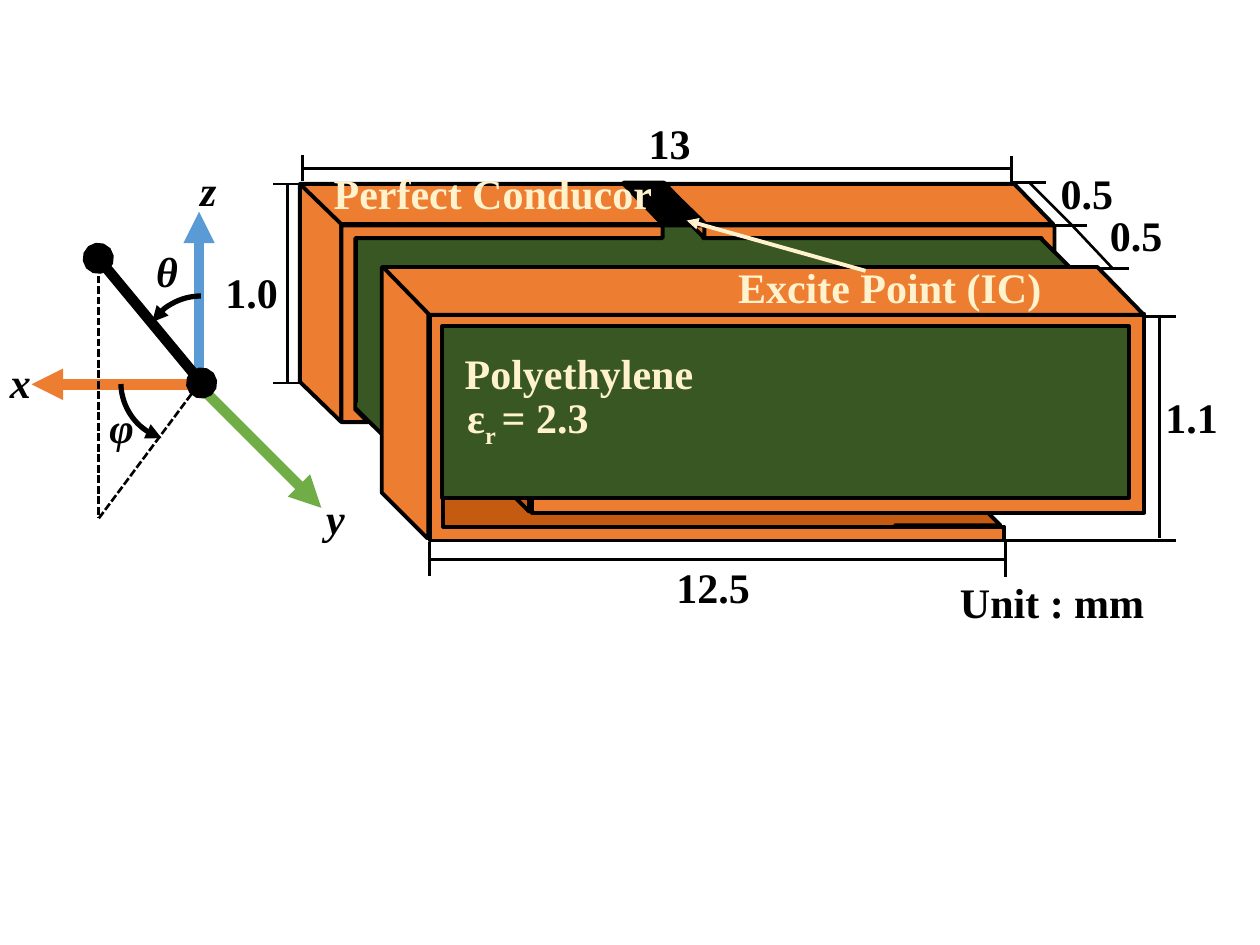
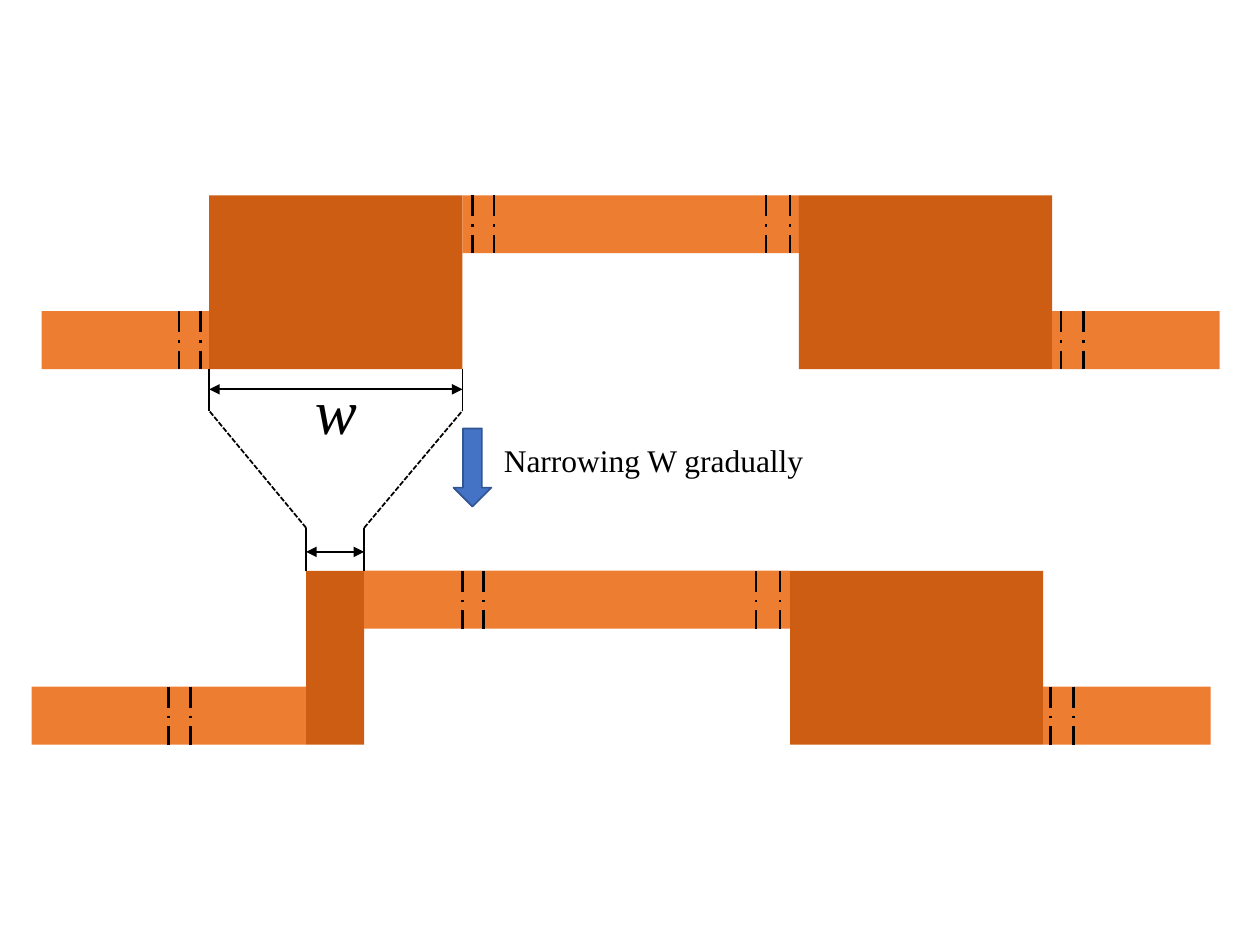
from pptx import Presentation
from pptx import util as u
from pptx.dml.color import RGBColor
from pptx.enum import dml, shapes, text
from pptx.oxml.ns import qn
from lxml import etree

# Shared style
FONT = "Times New Roman"
BLACK, CREAM = "000000", "FFF2CC"
COPPER, SHADE, GREEN = "ED7D31", "C55A11", "385723"
PAD = "CC5D12"
DASH = dml.MSO_LINE.SQUARE_DOT
FOLD_DASH = dml.MSO_LINE.LONG_DASH_DOT


def inch(x):
    """Length of a drawing coordinate in inches."""
    return u.Cm(x * 2.54)


def rgb(hex_color):
    return RGBColor.from_string(hex_color)


def style_line(ln, color, width, dash=None):
    ln.color.rgb = rgb(color)
    ln.width = u.Pt(width)
    if dash:
        ln.dash_style = dash


def add_ends(sp, head=None, tail=None):
    ln = sp.line._get_or_add_ln()
    for tag, kind in (("a:headEnd", head), ("a:tailEnd", tail)):
        if kind:
            etree.SubElement(ln, qn(tag), type=kind)


def add_line(s, start, end, color=BLACK, width=1.5, dash=None, head=None, tail=None):
    c = s.shapes.add_connector(shapes.MSO_CONNECTOR.STRAIGHT,
                               *(inch(v) for v in (*start, *end)))
    style_line(c.line, color, width, dash)
    add_ends(c, head, tail)
    etree.SubElement(c._element.spPr, qn("a:effectLst"))


def paint(sp, fill, line=None, width=2.25):
    sp.shadow.inherit = False
    if fill:
        sp.fill.solid()
        sp.fill.fore_color.rgb = rgb(fill)
    else:
        sp.fill.background()
    if line:
        style_line(sp.line, line, width)
    else:
        sp.line.fill.background()


def add_preset(s, kind, at, fill, line=None, width=2.25):
    sp = s.shapes.add_shape(kind, *(inch(v) for v in at))
    paint(sp, fill, line, width)
    return sp


def add_rect(s, at, fill, line=None):
    add_preset(s, shapes.MSO_SHAPE.RECTANGLE, at, fill, line)


def add_outline(s, fill, *contours):
    """Filled outline of one or more closed contours."""
    fb = None
    for first, *rest in contours:
        x, y = inch(first[0]), inch(first[1])
        if fb is None:
            fb = s.shapes.build_freeform(x, y)
        else:
            fb.move_to(x, y)
        fb.add_line_segments([(inch(a), inch(b)) for a, b in rest], close=True)
    paint(fb.convert_to_shape(), fill, BLACK)


def add_angle_arc(s, left, top, start, end):
    """Angle mark with its arrow at the start; angles in degrees."""
    sp = add_preset(s, shapes.MSO_SHAPE.ARC, (left, top, 0.93, 0.93), None, BLACK, 3)
    for i, angle in enumerate((start, end)):
        sp.adjustments[i] = angle * 0.6
    add_ends(sp, head="triangle")


def add_label(s, runs, left, top, width, color=BLACK, size=24, height=0.5,
              bold=True, italic=False):
    """Text label; runs is a string or a list of (text, is_subscript)."""
    tb = s.shapes.add_textbox(*(inch(v) for v in (left, top, width, height)))
    tf = tb.text_frame
    tf.word_wrap = False
    tf.auto_size = text.MSO_AUTO_SIZE.SHAPE_TO_FIT_TEXT
    p = tf.paragraphs[0]
    f = p.font
    f.name, f.size, f.bold, f.italic = FONT, u.Pt(size), bold, italic
    f.color.rgb = rgb(color)
    for words, subscript in [(runs, False)] if isinstance(runs, str) else runs:
        r = p.add_run()
        r.text = words
        if subscript:
            r._r.get_or_add_rPr().set("baseline", "-25000")


# Slide 1: antenna model
def draw_axes(s):
    for name, left, top, width in (("x", -0.02, 2.78, 0.37), ("y", 2.49, 3.86, 0.35),
                                   ("z", 1.49, 1.26, 0.33)):
        add_label(s, name, left, top, width, italic=True)
    for start, end, color in (((1.58, 3.05), (0.25, 3.05), COPPER),
                              ((1.61, 3.09), (2.55, 4.03), "70AD47"),
                              ((1.58, 3.01), (1.58, 1.68), "5B9BD5")):
        add_line(s, start, end, color, 6, tail="triangle")
    # Direction vector, its projection and angles
    add_line(s, (1.6, 3.04), (0.78, 2.05), width=6, head="oval", tail="oval")
    add_line(s, (1.57, 3.06), (0.78, 4.12), dash=DASH)
    add_line(s, (0.78, 2.02), (0.78, 4.11), dash=DASH)
    add_angle_arc(s, 1.13, 2.35, 213.7, 270)
    add_angle_arc(s, 0.96, 2.57, 107.75, 178.33)
    add_label(s, "θ", 1.14, 1.9, 0.38, italic=True)
    add_label(s, "φ", 0.77, 3.14, 0.4, italic=True)


def draw_antenna(s):
    # Dielectric core and shaded inner faces
    add_outline(s, GREEN, [
        (4.97, 1.59), (5.65, 1.59), (5.65, 1.8), (8, 1.8), (8, 1.63), (8.96, 2.59),
        (8.08, 2.59), (8.08, 3.05), (3.53, 3.05), (3.53, 3.94), (2.56, 2.98),
        (2.75, 2.98), (2.75, 1.8), (4.97, 1.8)])
    add_outline(s, SHADE, [
        (7.05, 3.28), (7.05, 3.87), (3.45, 3.87), (3.45, 4.19), (7.1, 4.19),
        (7.1, 4.17), (7.94, 4.17)])
    add_outline(s, SHADE, [(3.79, 3.65), (4.2, 3.65), (4.2, 4.06)])
    # Back side and front frame
    add_rect(s, (2.71, 1.78, 0.12, 1.4), COPPER, BLACK)
    add_outline(s, COPPER, [(2.71, 1.47), (2.38, 1.47), (2.38, 3.03), (2.71, 3.35)])
    add_outline(s, COPPER, [
        (9.08, 2.49), (3.41, 2.49), (3.41, 4.29), (7.97, 4.29), (7.97, 4.18),
        (3.52, 4.18), (3.52, 2.7), (4.22, 2.7), (4.22, 4.07), (9.08, 4.07)])
    add_rect(s, (3.51, 2.59, 5.45, 1.36), GREEN, BLACK)
    add_outline(s, COPPER, [(3.4, 2.12), (3.03, 2.12), (3.03, 3.91), (3.39, 4.27),
                            (3.4, 4.27)])
    # Back frame, split at the feed gap
    add_outline(
        s, COPPER,
        [(5.58, 1.79), (8.37, 1.79), (8.37, 2), (8.27, 1.9), (8.27, 1.89), (5.58, 1.89)],
        [(2.71, 1.79), (5.26, 1.79), (5.26, 1.89), (2.82, 1.89), (2.82, 3.25),
         (2.92, 3.35), (2.71, 3.35)])
    # Top faces
    add_outline(
        s, COPPER,
        [(3.04, 2.12), (8.71, 2.12), (9.08, 2.5), (3.41, 2.5)],
        [(5.27, 1.46), (8.05, 1.46), (8.36, 1.78), (5.58, 1.78)],
        [(2.38, 1.46), (4.95, 1.46), (5.26, 1.78), (2.71, 1.78)])
    # Feed gap
    add_outline(s, COPPER, [(5.27, 1.46), (5.59, 1.77), (5.59, 1.89), (5.27, 1.57)])
    add_outline(s, BLACK, [(5.27, 1.45), (4.95, 1.45), (5.27, 1.79), (5.59, 1.79)])


def draw_dimensions(s):
    for start, end in (
            ((8.03, 1.24), (8.03, 1.45)), ((2.4, 1.23), (2.4, 1.44)),    # 13
            ((2.4, 1.34), (8.03, 1.34)),
            ((2.38, 1.46), (2.17, 1.46)), ((2.38, 3.04), (2.17, 3.04)),  # 1.0
            ((2.28, 1.47), (2.28, 3.04)),
            ((9.33, 2.51), (9.08, 2.51)), ((9.33, 4.29), (7.97, 4.29)),  # 1.1
            ((9.2, 2.51), (9.2, 4.27)),
            ((3.41, 4.3), (3.41, 4.57)), ((7.98, 4.3), (7.98, 4.58)),    # 12.5
            ((7.98, 4.44), (3.41, 4.44)),
            ((8.3, 1.45), (8.03, 1.45)), ((8.63, 1.79), (8.36, 1.79)),   # 0.5
            ((8.96, 2.13), (8.71, 2.13)),
            ((8.17, 1.45), (8.51, 1.79)), ((8.51, 1.79), (8.83, 2.13))):
        add_line(s, start, end)
    for words, left, top, width in (
            ("1.1", 9.15, 3.06, 0.63), ("Unit : mm", 7.52, 4.53, 1.68),
            ("13", 5.05, 0.88, 0.54), ("1.0", 1.69, 2.07, 0.65),
            ("12.5", 5.27, 4.41, 0.79), ("0.5", 8.32, 1.28, 0.63),
            ("0.5", 8.71, 1.61, 0.63)):
        add_label(s, words, left, top, width)


def draw_materials(s):
    add_line(s, (6.87, 2.15), (5.45, 1.75), CREAM, 2.25, tail="triangle")
    for words, left, top, width in (
            ("Excite Point (IC)", 5.76, 2.03, 2.63),
            ("Perfect Conducor", 2.55, 1.28, 2.75),
            ([("ε", False), ("r ", True), ("= 2.3", False)], 3.61, 3.06, 1.19),
            ("Polyethylene", 3.59, 2.71, 2.03)):
        add_label(s, words, left, top, width, CREAM)


# Slide 2: narrowing the pad
STRIP = 0.46
FOLDS = (1.42, 1.59, 3.75, 3.92, 6.08, 6.27, 8.42, 8.6)


def draw_meander(s, top, edges, fold_shift=0):
    """Arm, pad, bridge, pad and arm between consecutive edges."""
    low = top + 2 * STRIP
    parts = ((low, STRIP, COPPER), (top, 3 * STRIP, PAD), (top, STRIP, COPPER),
             (top, 3 * STRIP, PAD), (low, STRIP, COPPER))
    for left, right, (y, height, color) in zip(edges, edges[1:], parts):
        add_rect(s, (left, y, right - left, height), color)
    for i, x in enumerate(FOLDS):
        y = top if 2 <= i < 6 else low
        x += fold_shift
        add_line(s, (x, y), (x, y + STRIP), dash=FOLD_DASH)


def draw_width_mark(s, left, right, top, bottom, arrow_y):
    for x in (left, right):
        add_line(s, (x, top), (x, bottom), width=1)
    add_line(s, (right, arrow_y), (left, arrow_y), width=1,
             head="triangle", tail="triangle")


def draw_narrowing(s):
    wide, narrow = (1.66, 3.67), (2.43, 2.89)
    draw_meander(s, 1.55, (0.33, *wide, 6.34, 8.35, 9.68))
    draw_meander(s, 4.53, (0.25, *narrow, 6.27, 8.28, 9.61), fold_shift=-0.08)
    draw_width_mark(s, *wide, 2.93, 3.26, 3.09)
    draw_width_mark(s, *narrow, 4.19, 4.53, 4.38)
    for x_wide, x_narrow in zip(wide, narrow):
        add_line(s, (x_narrow, 4.19), (x_wide, 3.26), width=1, dash=DASH)
    add_preset(s, shapes.MSO_SHAPE.DOWN_ARROW, (3.6, 3.4, 0.3, 0.62),
               "4472C4", "325491", 1)
    add_label(s, "Narrowing W gradually", 3.9, 3.45, 2.58, size=18, height=0.4, bold=False)
    add_label(s, "w", 2.4, 2.9, 0.54, size=36, height=0.71, bold=False, italic=True)


def main():
    prs = Presentation()
    prs.slide_width, prs.slide_height = u.Cm(25.4), u.Cm(19.05)
    blank = prs.slide_layouts[6]

    s = prs.slides.add_slide(blank)
    for draw in (draw_axes, draw_antenna, draw_dimensions, draw_materials):
        draw(s)

    draw_narrowing(prs.slides.add_slide(blank))
    prs.save("out.pptx")


if __name__ == "__main__":
    main()
